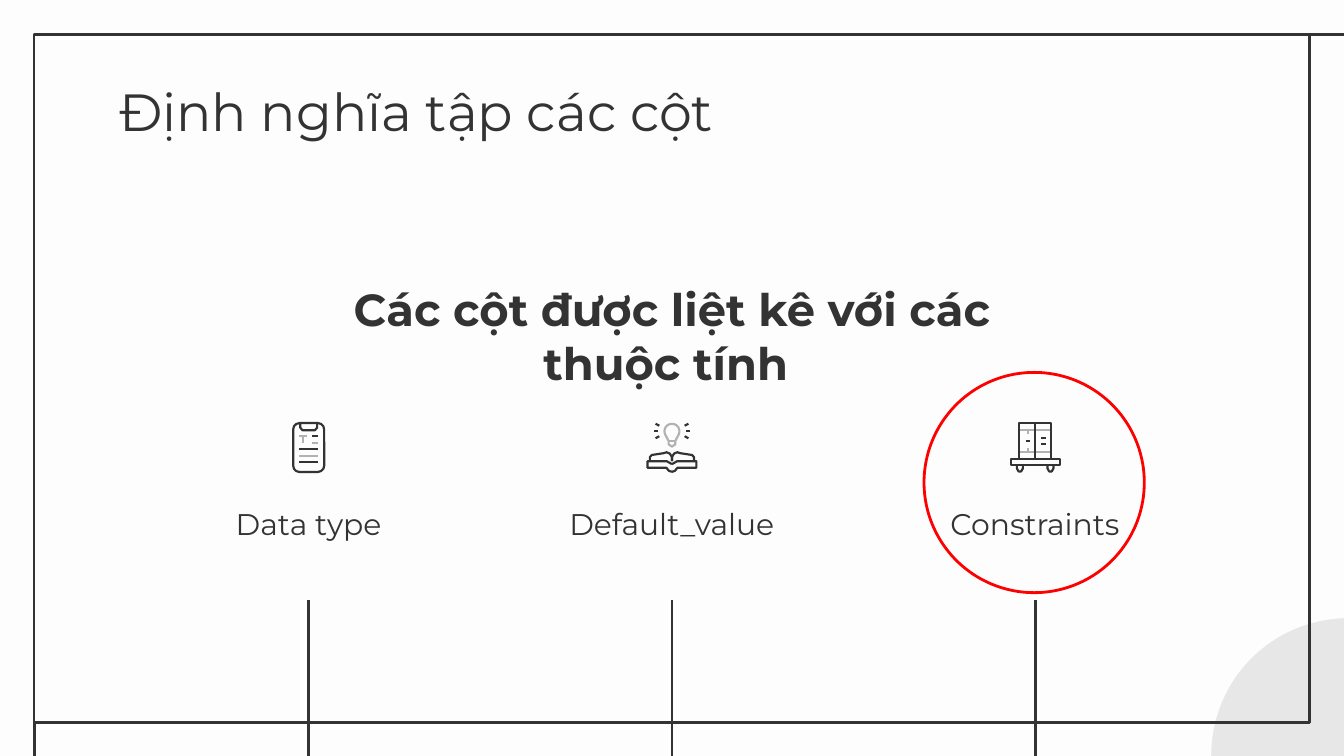
from dataclasses import dataclass
from math import cos, radians, sin

from lxml import etree
from pptx import Presentation
from pptx.dml.color import RGBColor
from pptx.enum.shapes import MSO_CONNECTOR, MSO_SHAPE
from pptx.enum.text import MSO_ANCHOR, PP_ALIGN
from pptx.oxml.ns import qn
from pptx.util import Pt

LINE = MSO_CONNECTOR.STRAIGHT
RECT, ROUND, OVAL = MSO_SHAPE.RECTANGLE, MSO_SHAPE.ROUNDED_RECTANGLE, MSO_SHAPE.OVAL
TOP, BOTTOM = MSO_ANCHOR.TOP, MSO_ANCHOR.BOTTOM
LEFT, CENTER = PP_ALIGN.LEFT, PP_ALIGN.CENTER


@dataclass(frozen=True)
class Theme:
    font: str = "Montserrat"
    paper: str = "FDFDFD"
    ink: str = "333333"
    soft: str = "B2B2B2"
    disc: str = "E8E7E7"
    accent: str = "FF0000"
    title: float = 28
    heading: float = 24
    label: float = 16
    rule: float = 1.5
    stroke: float = 1.15


@dataclass(frozen=True)
class Outline:
    """Icon part of one or more contours, relative to the icon's top centre."""
    contours: list
    color: str


T = Theme()
W, H = 720, 405
CENTERS = [W / 2 + step * 194.6 for step in (-1, 0, 1)]
ICON_TOP = 226.1


def add_line(shapes, x1: float, y1: float, x2: float, y2: float,
             color: str = T.ink, width: float = T.rule) -> None:
    sp = shapes.add_connector(LINE, Pt(x1), Pt(y1), Pt(x2), Pt(y2))
    sp.line.color.rgb = RGBColor.from_string(color)
    sp.line.width = Pt(width)
    etree.SubElement(sp._element.spPr, qn("a:effectLst"))


def style(sp, fill: str = "", line: str = "", width: float = T.rule) -> None:
    sp.shadow.inherit = False
    if fill:
        sp.fill.solid()
        sp.fill.fore_color.rgb = RGBColor.from_string(fill)
    else:
        sp.fill.background()
    if line:
        sp.line.color.rgb = RGBColor.from_string(line)
        sp.line.width = Pt(width)
    else:
        sp.line.fill.background()


def add_shape(shapes, kind, x: float, y: float, w: float, h: float, **look):
    sp = shapes.add_shape(kind, Pt(x), Pt(y), Pt(w), Pt(h))
    style(sp, **look)
    return sp


def add_text(shapes, text: str, x: float, y: float, w: float, h: float, size: float,
             align=CENTER, anchor=TOP, bold: bool = False, spacing: float = 1.0) -> None:
    tf = shapes.add_textbox(Pt(x), Pt(y), Pt(w), Pt(h)).text_frame
    tf.word_wrap = True
    tf.vertical_anchor = anchor
    tf.margin_left = tf.margin_right = tf.margin_top = tf.margin_bottom = Pt(7.2)
    p = tf.paragraphs[0]
    p.text = text
    p.alignment, p.line_spacing = align, spacing
    f = p.runs[0].font
    f.name, f.size, f.bold = T.font, Pt(size), bold
    f.color.rgb = RGBColor.from_string(T.ink)


def add_icon(shapes, cx: float, outlines: list[Outline]):
    group = shapes.add_group_shape()
    for outline in outlines:
        contours = [[(cx + x, ICON_TOP + y) for x, y in c] for c in outline.contours]
        if len(contours) == 1 and len(contours[0]) == 2:
            (start, end), = contours
            add_line(group.shapes, *start, *end, outline.color, T.stroke)
            continue
        emu = [[(Pt(x), Pt(y)) for x, y in c] for c in contours]
        fb = group.shapes.build_freeform(*emu[0][0])
        for i, c in enumerate(emu):
            if i:
                fb.move_to(*c[0])
            fb.add_line_segments(c[1:], close=c[0] == c[-1])
        style(fb.convert_to_shape(), line=outline.color, width=T.stroke)
    return group


def mirror(points: list) -> list:
    return [(-x, y) for x, y in points]


def bar(x1: float, x2: float, y: float, color: str = T.ink) -> Outline:
    return Outline([[(x1, y), (x2, y)]], color)


def box(x1: float, y1: float, x2: float, y2: float) -> list:
    return [(x1, y1), (x2, y1), (x2, y2), (x1, y2), (x1, y1)]


def clipboard_icon() -> list[Outline]:
    clip = [(-4.5, 0.7), (-4.5, 3), (-3.3, 4.4), (3.3, 4.4), (4.5, 3), (4.5, 0.7)]
    return [
        Outline([clip], T.ink),
        Outline([[(-5.4, 7.7), (-0.8, 7.7)], [(-3.1, 7.7), (-3.1, 11.5)]], T.soft),
        bar(2, 5.2, 7.7), bar(2, 5.2, 11.4, T.soft),
        bar(-5.2, 5.2, 14.5), bar(-5.2, 5.2, 18, T.soft), bar(-5.2, 5.2, 21.4),
    ]


def idea_icon() -> list[Outline]:
    globe = [(4 * cos(radians(a)), 5 + 4 * sin(radians(a))) for a in range(145, 396, 10)]
    base = [(1.8, 10.2), (1.8, 12), (0, 13.2), (-1.8, 12), (-1.8, 10.2)]
    page = [(0, 21), (0, 18.7), (-1.2, 16.9), (-2.9, 16.2), (-4.3, 16.7),
            (-10.8, 17.7), (-11.8, 18.8), (-11.8, 20.8)]
    cover = [(0, 22.6), (-2.8, 21), (-13.1, 21), (-13.1, 24.5), (-3, 24.5),
             (-1.6, 26.2), (0, 26.7)]
    rays = [[(7.5, 4.8), (9.7, 4.8)], [(6.8, 2), (8.8, 0.9)], [(6.8, 7.6), (8.8, 8.7)]]
    book = Outline([page, mirror(page), cover, mirror(cover)], T.ink)
    bulb = Outline([globe + base + globe[:1], [(-1.8, 10.2), (1.8, 10.2)]], T.soft)
    return [book] + [Outline([c], T.ink) for ray in rays for c in (ray, mirror(ray))] + [bulb]


def cargo_icon() -> list[Outline]:
    wheel = [(-9.8, 23), (-9.8, 24.9), (-8.9, 26.5), (-7.5, 26.5), (-6.6, 24.9), (-6.6, 23)]
    cart = [box(-8.5, 0.6, 0, 19.8), box(0, 0.6, 8.5, 19.8), box(-13.1, 19.8, 13.1, 22.9),
            wheel, mirror(wheel)]
    return [
        Outline([[(-8.4, 4.4), (8.4, 4.4)], [(-4, 4.4), (-4, 6.2)]], T.soft),
        Outline([[(-8.4, 15.9), (8.4, 15.9)], [(-4, 14.1), (-4, 15.9)]], T.soft),
        Outline(cart, T.ink),
        bar(-5.2, -2.8, 10.1), bar(3.2, 5.6, 8.5), bar(3.2, 5.6, 11.9),
    ]


def main() -> None:
    prs = Presentation()
    prs.slide_width, prs.slide_height = Pt(W), Pt(H)
    s = prs.slides.add_slide(prs.slide_layouts[6])
    s.background.fill.solid()
    s.background.fill.fore_color.rgb = RGBColor.from_string(T.paper)
    shapes = s.shapes

    # Corner disc and frame
    add_shape(shapes, OVAL, 648.9, 331.2, 147, 147, fill=T.disc)
    add_shape(shapes, RECT, 18.2, 18.3, 683.3, 368.7, line=T.ink)
    add_line(shapes, 701.5, 18.3, W, 18.3)
    add_line(shapes, 18.6, 387, 18.6, H)

    # Title and highlight ring
    add_shape(shapes, OVAL, 495, 199.5, 118, 118, line=T.accent)
    add_text(shapes, "Định nghĩa tập các cột", 56.8, 35.3, 607, 45.4, T.title, LEFT)

    # Column attributes: label, icon and stem
    attributes = [("Data type", clipboard_icon()), ("Default_value", idea_icon()),
                  ("Constraints", cargo_icon())]
    for cx, (label, outlines) in zip(CENTERS, attributes):
        add_text(shapes, label, cx - 88.3, 268.6, 176.4, 28.8, T.label,
                 anchor=BOTTOM, spacing=1.15)
        group = add_icon(shapes, cx, outlines)
        if label == "Data type":
            body = add_shape(group.shapes, ROUND, cx - 8.3, ICON_TOP + 0.6, 16.6, 26.2,
                             line=T.ink, width=T.stroke)
            body.adjustments[0] = 0.2
        add_line(shapes, cx, 321.5, cx, H)

    # Heading
    add_text(shapes, "Các cột được liệt kê với các thuộc tính ", 147.9, 143.7, 424.1, 72.7,
             T.heading, bold=True)

    prs.save("out.pptx")


if __name__ == "__main__":
    main()
